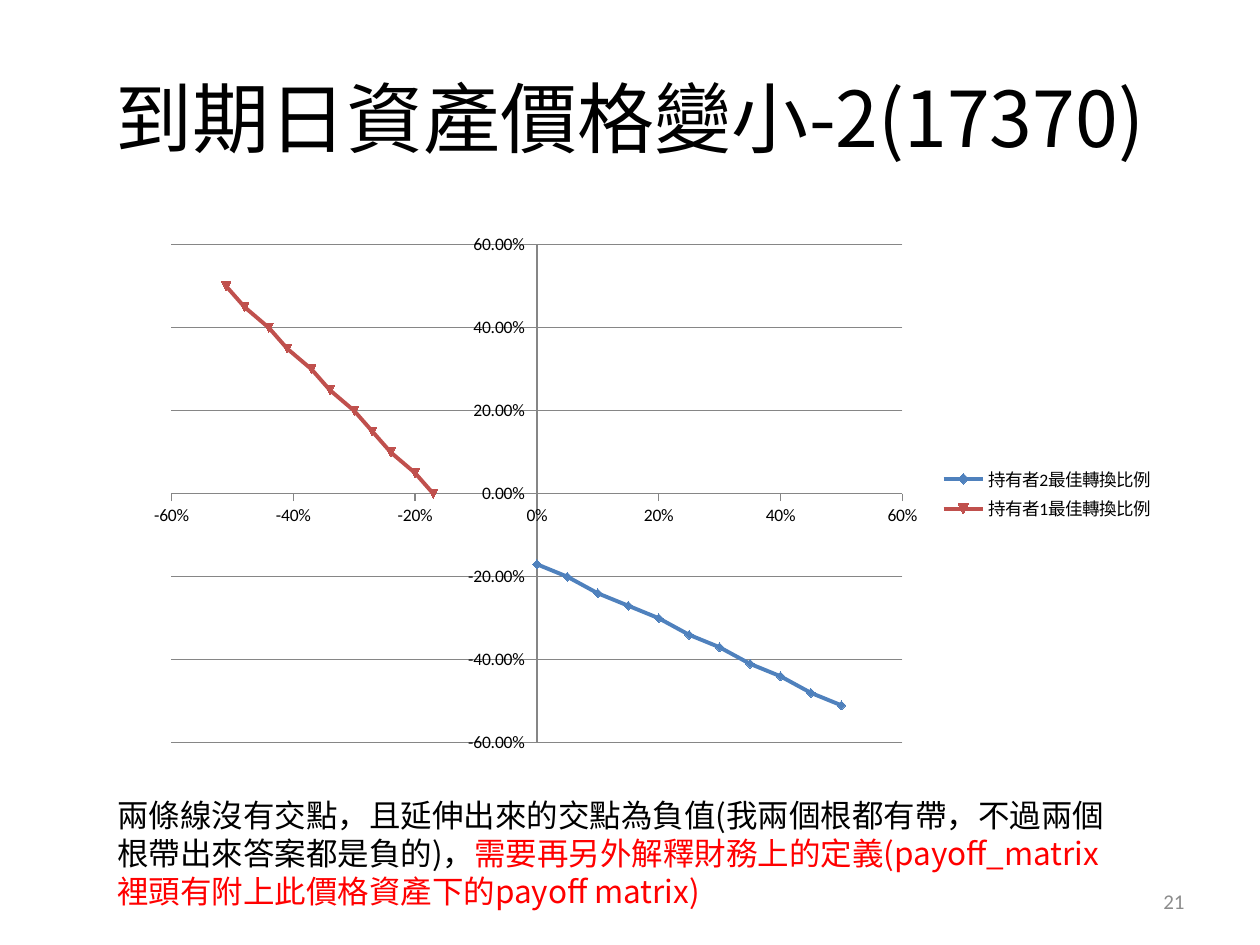
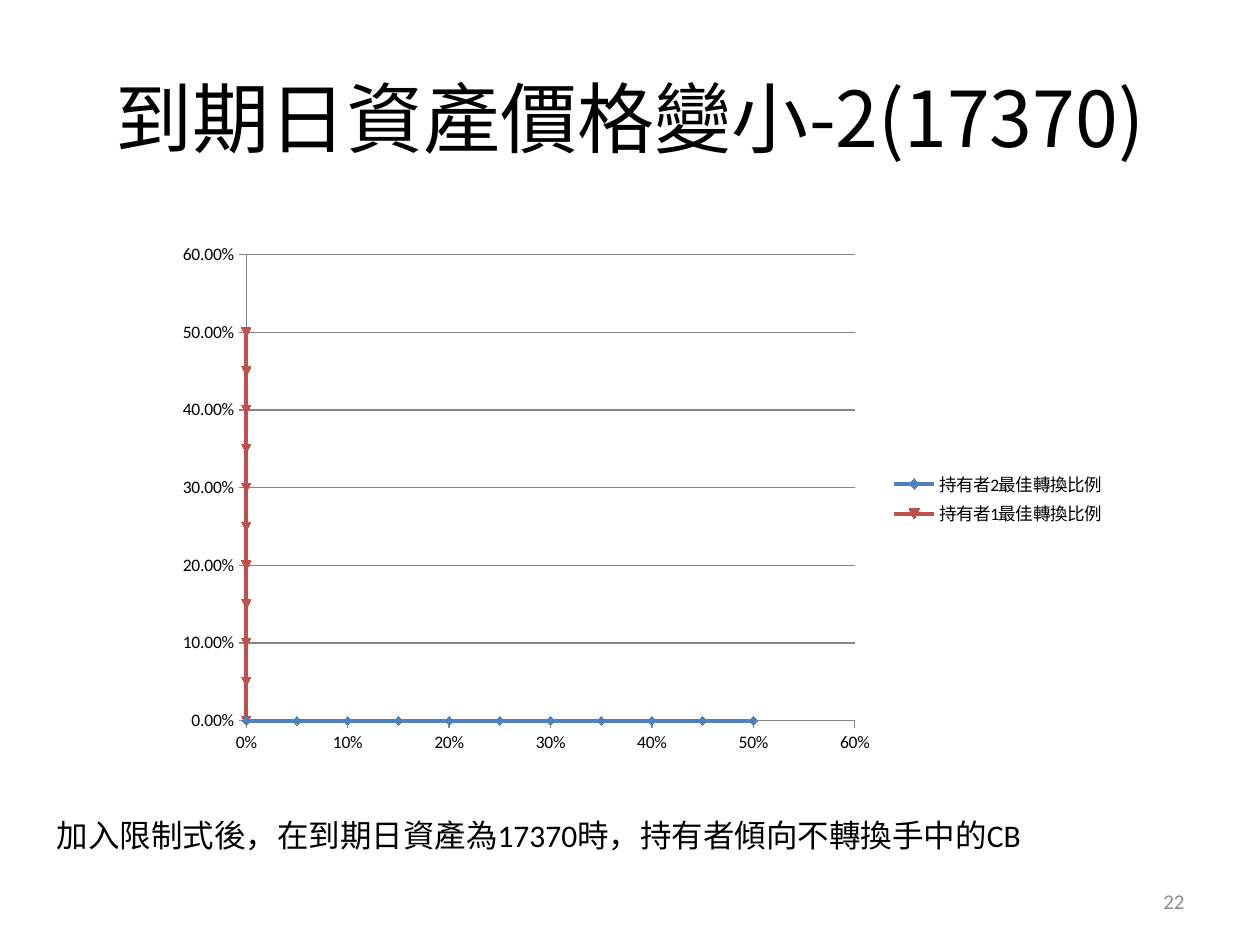
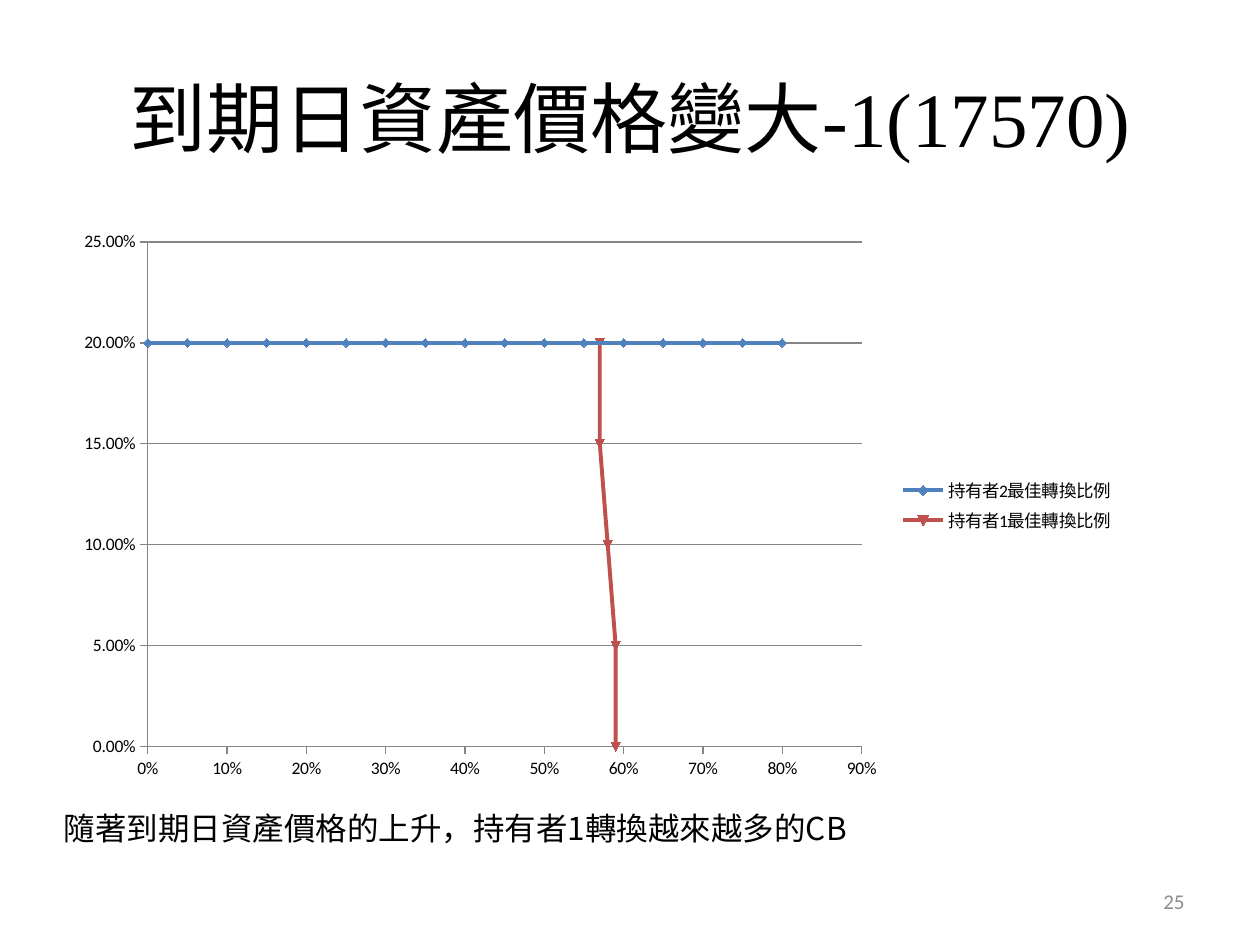
import dataclasses

import pptx
import pptx.chart.data
import pptx.dml.color
import pptx.enum.chart
import pptx.enum.text
import pptx.oxml
import pptx.oxml.ns
import pptx.util

Cm = pptx.util.Cm
Pt = pptx.util.Pt
RGB = pptx.dml.color.RGBColor.from_string
Align = pptx.enum.text.PP_ALIGN
Anchor = pptx.enum.text.MSO_ANCHOR
ChartType = pptx.enum.chart.XL_CHART_TYPE


@dataclasses.dataclass(frozen=True)
class Theme:
    ink: str = "000000"
    alert: str = "FF0000"
    muted: str = "8C8C8C"
    axis: str = "868686"
    holder_colors: tuple = ("4F81BD", "C0504D")
    cjk: str = "Noto Sans CJK SC"
    latin: str = "Calibri"
    serif: str = "Times New Roman"
    title_size: int = 44
    caption_size: int = 18
    number_size: int = 12
    chart_size: int = 10


THEME = Theme()
HOLDER_NAMES = ("持有者2最佳轉換比例", "持有者1最佳轉換比例")
SMALLER_TITLE = [("到期日資產價格變小-2(17370)", THEME.cjk, THEME.ink)]


def ratios(last_percent):
    return [percent / 100 for percent in range(0, last_percent + 1, 5)]


def add_run(paragraph, text, font_name, color, size):
    run = paragraph.add_run()
    run.text = text
    run.font.name = font_name
    run.font.size = Pt(size)
    run.font.color.rgb = RGB(color)
    east_asian = pptx.oxml.parse_xml(
        f'<a:ea {pptx.oxml.ns.nsdecls("a")} typeface="{THEME.cjk}"/>')
    run.font._element.find(pptx.oxml.ns.qn("a:latin")).addnext(east_asian)


def add_text(slide, box, runs, size, align=Align.LEFT, anchor=Anchor.TOP):
    frame = slide.shapes.add_textbox(*map(Cm, box)).text_frame
    frame.word_wrap = True
    frame.vertical_anchor = anchor
    paragraph = frame.paragraphs[0]
    paragraph.alignment = align
    for text, font_name, color in runs:
        add_run(paragraph, text, font_name, color, size)


def add_title(slide, runs):
    add_text(slide, (1.27, 0.76, 22.86, 3.18), runs, THEME.title_size,
             Align.CENTER, Anchor.MIDDLE)


def add_page_number(slide, number):
    add_text(slide, (18.2, 17.66, 5.93, 1.01),
             [(str(number), THEME.latin, THEME.muted)], THEME.number_size,
             Align.RIGHT, Anchor.MIDDLE)


def add_caption(slide, box, runs):
    add_text(slide, box, runs, THEME.caption_size)


def style_axis(axis, limits, step, number_format):
    axis.minimum_scale, axis.maximum_scale = limits
    axis.major_unit = step
    axis.major_tick_mark = pptx.enum.chart.XL_TICK_MARK.OUTSIDE
    axis.tick_labels.number_format = number_format
    axis.tick_labels.number_format_is_linked = False
    axis.format.line.color.rgb = RGB(THEME.axis)
    axis.format.line.width = Pt(0.75)


def add_ratio_chart(slide, box, chart_type, holders, x_scale, y_scale):
    data = pptx.chart.data.XyChartData()
    for name, (xs, ys) in zip(HOLDER_NAMES, holders):
        holder = data.add_series(name)
        for x, y in zip(xs, ys):
            holder.add_data_point(x, y)
    chart = slide.shapes.add_chart(chart_type, *map(Cm, box), data).chart
    chart.has_title = False
    chart.font.name = THEME.latin
    chart.font.size = Pt(THEME.chart_size)
    chart.font.color.rgb = RGB(THEME.ink)
    chart.has_legend = True
    chart.legend.position = pptx.enum.chart.XL_LEGEND_POSITION.RIGHT
    chart.legend.include_in_layout = False

    style_axis(chart.category_axis, *x_scale, "0%")
    style_axis(chart.value_axis, *y_scale, "0.00%")
    chart.category_axis.has_major_gridlines = False
    chart.value_axis.has_major_gridlines = True
    gridline = chart.value_axis.major_gridlines.format.line
    gridline.color.rgb = RGB(THEME.axis)
    gridline.width = Pt(0.75)

    plot = chart.plots[0]
    plot.vary_by_categories = False
    for order, (holder, color) in enumerate(zip(plot.series, THEME.holder_colors), 1):
        holder._element.idx.val = order
        holder.smooth = chart_type == ChartType.XY_SCATTER_SMOOTH
        holder.format.line.color.rgb = RGB(color)
        holder.format.line.width = Pt(2.25)
        holder.marker.format.fill.solid()
        holder.marker.format.fill.fore_color.rgb = RGB(color)
        holder.marker.format.line.color.rgb = RGB(color)


def add_unbounded_slide(slide):
    add_title(slide, SMALLER_TITLE)
    best = [-0.17, -0.2, -0.24, -0.27, -0.3, -0.34, -0.37, -0.41, -0.44, -0.48, -0.51]
    scale = ((-0.6, 0.6), 0.2)
    add_ratio_chart(slide, (2.69, 4.52, 20.83, 10.87), ChartType.XY_SCATTER_SMOOTH,
                    [(ratios(50), best), (best, ratios(50))], scale, scale)
    add_caption(slide, (2.11, 15.93, 20.8, 3.33), [
        ("兩條線沒有交點，且延伸出來的交點為負值(我兩個根都有帶，不過兩個根帶出來答案都是負的)，",
         THEME.cjk, THEME.ink),
        ("需要再另外解釋財務上的定義(payoff_matrix裡頭有附上此價格資產下的payoff matrix)",
         THEME.cjk, THEME.alert)])
    add_page_number(slide, 21)


def add_constrained_slide(slide):
    add_title(slide, SMALLER_TITLE)
    none = [0] * len(ratios(50))
    scale = ((0, 0.6), 0.1)
    add_ratio_chart(slide, (3.3, 4.72, 19.23, 10.67), ChartType.XY_SCATTER_SMOOTH,
                    [(ratios(50), none), (none, ratios(50))], scale, scale)
    add_caption(slide, (0.89, 16.33, 20.14, 1.02), [
        ("加入限制式後，在到期日資產為17370時，持有者傾向不轉換手中的CB",
         THEME.latin, THEME.ink)])
    add_page_number(slide, 22)


def add_larger_slide(slide):
    add_title(slide, [("到期日資產價格變大", THEME.cjk, THEME.ink),
                      ("-1(17570)", THEME.serif, THEME.ink)])
    constant = [0.2] * len(ratios(80))
    add_ratio_chart(slide, (1.27, 4.45, 21.44, 11.48), ChartType.XY_SCATTER_LINES,
                    [(ratios(80), constant),
                     ([0.59, 0.59, 0.58, 0.57, 0.57], ratios(20))],
                    ((0, 0.9), 0.1), ((0, 0.25), 0.05))
    add_caption(slide, (1.04, 16.18, 16.28, 1.02), [
        ("隨著到期日資產價格的上升，持有者1轉換越來越多的CB", THEME.cjk, THEME.ink)])
    add_page_number(slide, 25)


def main():
    deck = pptx.Presentation()
    deck.slide_width, deck.slide_height = Cm(25.4), Cm(19.05)
    blank = deck.slide_layouts[6]
    for build in (add_unbounded_slide, add_constrained_slide, add_larger_slide):
        build(deck.slides.add_slide(blank))
    deck.save("out.pptx")


if __name__ == "__main__":
    main()
